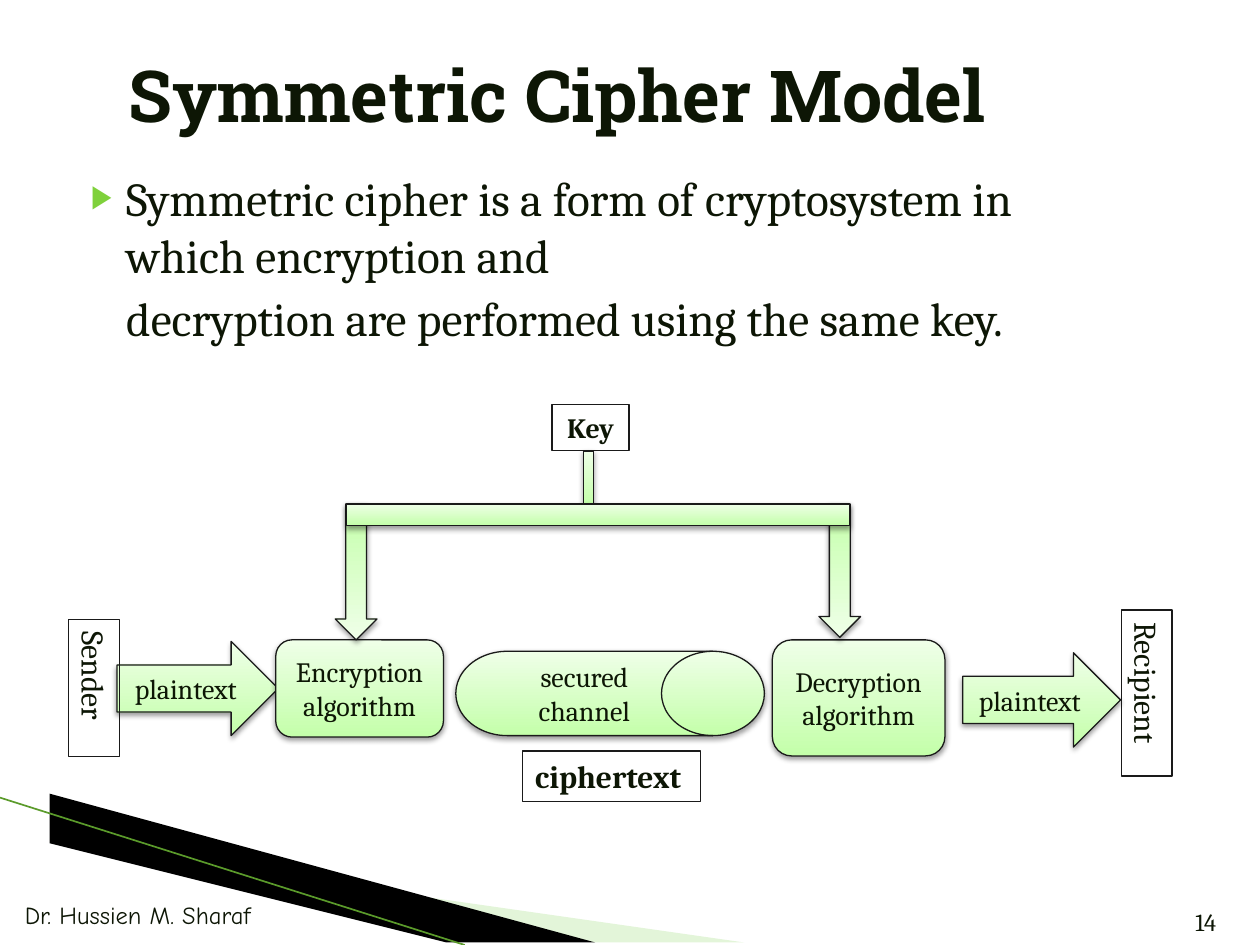
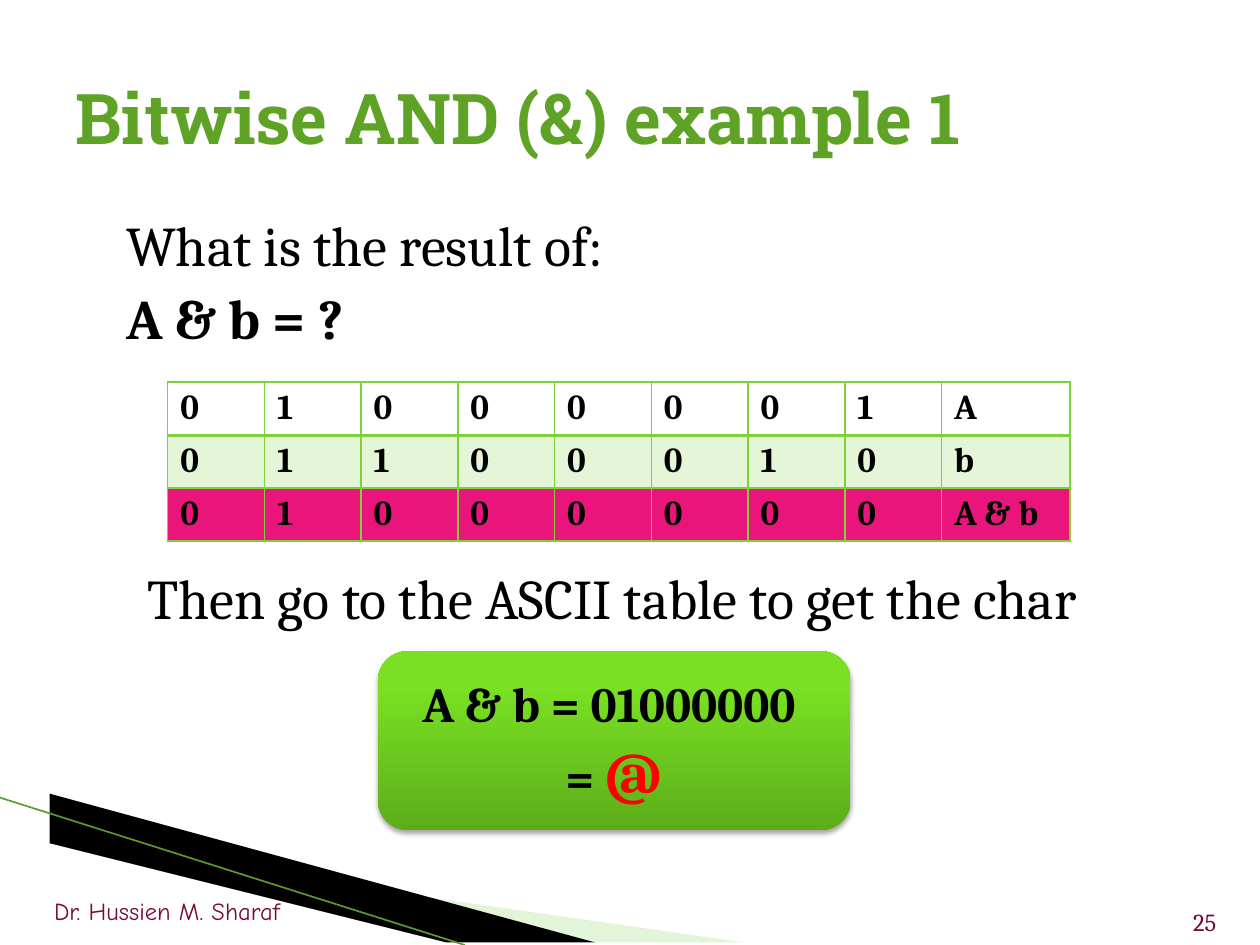
from lxml.etree import SubElement
from pptx import Presentation
from pptx.dml.color import RGBColor
from pptx.enum.shapes import MSO_CONNECTOR, MSO_SHAPE as Preset
from pptx.enum.text import MSO_ANCHOR as Anchor, MSO_AUTO_SIZE as AutoSize, PP_ALIGN as Align
from pptx.oxml.ns import qn
from pptx.util import Cm, Pt

INK = "0D1605"
BLACK = "000000"
GREEN = "7FD13B"
WINE = "750B3D"
PINK = "EA157A"
PALE_GREEN = ("C4FFAA", "EFFFE8")
BRIGHT_GREEN = ("5DAD1B", "79E023")
TEXT_MARGIN = 1.02


def paint(fill, *colors, last_stop=1.0):
    if len(colors) == 1:
        fill.solid()
        fill.fore_color.rgb = RGBColor.from_string(colors[0])
        return
    fill.gradient()
    fill.gradient_angle = 90
    for stop, color, position in zip(fill.gradient_stops, colors, (0, last_stop)):
        stop.color.rgb = RGBColor.from_string(color)
        stop.position = position


def write(frame, text, size=16, color=INK, font="Cambria", bold=False, align=Align.LEFT,
          before=0, margin=0, hanging=0, bullet=None, paragraph=None):
    frame.word_wrap = True
    frame.auto_size = AutoSize.NONE
    if paragraph is None:
        paragraph = frame.paragraphs[0]
        if paragraph.runs:
            paragraph = frame.add_paragraph()
        paragraph.alignment = align
        paragraph.space_before = Pt(before)
        properties = paragraph._p.get_or_add_pPr()
        properties.set("marL", str(Cm(margin)))
        properties.set("indent", str(Cm(-hanging)))
        if bullet:
            bullet_color = SubElement(properties, qn("a:buClr"))
            SubElement(bullet_color, qn("a:srgbClr"), val=GREEN)
            SubElement(properties, qn("a:buSzPct"), val="68000")
            SubElement(properties, qn("a:buFont"), typeface="Cambria")
            SubElement(properties, qn("a:buChar"), char=bullet)
        else:
            SubElement(properties, qn("a:buNone"))
    run = paragraph.add_run()
    run.text = text
    run.font.size = Pt(size)
    run.font.name = font
    run.font.bold = bold
    paint(run.font.fill, color)
    return paragraph


presentation = Presentation()
presentation.slide_width = Cm(25.4)
presentation.slide_height = Cm(19.05)

pages = [
    ("Symmetric Cipher Model", 41, INK, (2.34, 0.51, 20.75, 2.77), (1.27, 3.28, 20.75, 5.99),
     "14", INK, (0.25, 18.01)),
    ("Bitwise AND (&) example 1", 40, "5FA326", (1.27, 0.76, 22.86, 3.18), (1.27, 4.11, 22.86, 3.3),
     "25", WINE, (0.84, 17.93)),
]
bands = [
    ("E3F5D9", [(1.4, 16.54), (15.11, 19.05), (11.58, 19.05), (1.4, 16.51)]),
    (BLACK, [(1.35, 16.48), (11.61, 19.05), (9.45, 19.05), (1.37, 16.51)]),
]
slides = []
for title, size, color, title_box, body_box, number, footer_color, author_corner in pages:
    slide = presentation.slides.add_slide(presentation.slide_layouts[1])
    slides.append(slide)
    for band_color, points in bands:
        builder = slide.shapes.build_freeform(*points[0], scale=Cm(1))
        builder.add_line_segments(points[1:], close=True)
        band = builder.convert_to_shape()
        band.shadow.inherit = False
        band.line.fill.background()
        paint(band.fill, band_color)
    edge = slide.shapes.add_connector(MSO_CONNECTOR.STRAIGHT, Cm(0), Cm(16.08), Cm(9.37), Cm(19.05))
    edge.line.width = Pt(0.95)
    paint(edge.line.fill, "5B9B2B")
    SubElement(edge.element.spPr, qn("a:effectLst"))

    for placeholder, box in zip(slide.placeholders, (title_box, body_box)):
        placeholder.left, placeholder.top, placeholder.width, placeholder.height = map(Cm, box)
    title_frame = slide.shapes.title.text_frame
    title_frame.vertical_anchor = Anchor.MIDDLE
    write(title_frame, title, size=size, color=color, font="Roboto Slab", bold=True)

    author = slide.shapes.add_textbox(*map(Cm, (*author_corner, 6.99, 0.81)))
    write(author.text_frame, "Dr. Hussien M. Sharaf", size=14, color=footer_color, font="Comic Neue")
    page_number = slide.shapes.add_textbox(Cm(22.66), Cm(18.16), Cm(2.11), Cm(0.69))
    write(page_number.text_frame, number, size=14, color=footer_color, align=Align.RIGHT)

cipher_slide, bitwise_slide = slides
raised_shapes = []

body = cipher_slide.placeholders[1].text_frame
write(body, "Symmetric cipher is a form of cryptosystem in which encryption and",
      size=27, before=4, margin=TEXT_MARGIN, hanging=0.71, bullet="▶")
write(body, "decryption are performed using the same key.", size=27, before=4, margin=TEXT_MARGIN)

cipher_parts = [
    (Preset.RECTANGLE, "", (11.76, 9.09, 0.2, 1.07)),
    (Preset.RIGHT_ARROW, "plaintext", (2.36, 12.93, 3.25, 1.9)),
    (Preset.ROUNDED_RECTANGLE, "Encryption algorithm", (5.56, 12.9, 3.38, 1.96)),
    (Preset.ROUNDED_RECTANGLE, "Decryption algorithm", (15.57, 12.9, 3.48, 2.34)),
    (Preset.FLOWCHART_DIRECT_ACCESS_STORAGE, "secured channel", (9.19, 13.13, 6.22, 1.7)),
    (Preset.RIGHT_ARROW, "plaintext", (19.41, 13.16, 3.18, 1.9)),
    (Preset.UP_ARROW, "", (6.76, 10.16, 0.84, 2.74)),
    (Preset.UP_ARROW, "", (16.51, 10.16, 0.84, 2.69)),
    (Preset.RECTANGLE, "", (6.99, 10.16, 10.13, 0.43)),
]
for preset, text, box in cipher_parts:
    part = cipher_slide.shapes.add_shape(preset, *map(Cm, box))
    paint(part.fill, *PALE_GREEN)
    paint(part.line.fill, "1A1A1A")
    part.line.width = Pt(0.75)
    if preset == Preset.UP_ARROW:
        part.element.spPr.get_or_add_xfrm().set("flipV", "1")
    if text:
        write(part.text_frame, text, align=Align.CENTER)
    raised_shapes.append((part, 38))

labels = [
    ("ciphertext", (10.54, 15.14, 3.58, 1.02), 18, True, Align.LEFT, 0),
    ("Sender", (0.51, 13.36, 2.77, 1.02), 18, False, Align.LEFT, 90),
    ("Recipient", (21.44, 13.46, 3.35, 1.02), 18, False, Align.LEFT, 90),
    ("Key", (11.13, 8.15, 1.55, 0.94), 16, True, Align.CENTER, 0),
]
for text, box, size, bold, align, rotation in labels:
    label = cipher_slide.shapes.add_shape(Preset.RECTANGLE, *map(Cm, box))
    label.shadow.inherit = False
    label.fill.background()
    paint(label.line.fill, "1A1A1A")
    label.line.width = Pt(0.75)
    label.rotation = rotation
    label.text_frame.vertical_anchor = Anchor.TOP
    write(label.text_frame, text, size=size, bold=bold, align=align)

question = bitwise_slide.placeholders[1].text_frame
prompt_format = dict(size=32, color=BLACK, before=3.2, margin=TEXT_MARGIN)
write(question, "What is the result of:", **prompt_format)
write(question, "A & b = ?", bold=True, **prompt_format)

bit_rows = [("01000001", "A", None), ("01100010", "b", "E5F6D8"), ("01000000", "A & b", PINK)]
table = bitwise_slide.shapes.add_table(3, 9, Cm(3.38), Cm(7.7), Cm(18.19), Cm(3.21)).table
table.first_row = False
table.horz_banding = False
for index, column in enumerate(table.columns):
    column.width = Cm(1.95 if index < 8 else 2.59)
for row_index, (bits, name, row_color) in enumerate(bit_rows):
    table.rows[row_index].height = Cm(1.07)
    for column_index, text in enumerate([*bits, name]):
        cell = table.cell(row_index, column_index)
        write(cell.text_frame, text, size=20, color=BLACK, bold=True)
        properties = cell._tc.get_or_add_tcPr()
        for side in "LRTB":
            thick = (row_index, side) in ((0, "B"), (1, "T"))
            border = SubElement(properties, qn(f"a:ln{side}"), w=str(Pt(2 if thick else 1)))
            border_fill = SubElement(border, qn("a:solidFill"))
            SubElement(border_fill, qn("a:srgbClr"), val=GREEN)
        if row_color:
            paint(cell.fill, row_color)
        else:
            cell.fill.background()

result = bitwise_slide.shapes.add_shape(Preset.ROUNDED_RECTANGLE, Cm(7.62), Cm(13.13), Cm(9.53), Cm(3.61))
paint(result.fill, *BRIGHT_GREEN, last_stop=0.8)
result.line.fill.background()
result_format = dict(size=28, color=BLACK, bold=True, align=Align.CENTER)
write(result.text_frame, "A & b = 01000000 ", **result_format)
answer = write(result.text_frame, "= ", **result_format)
write(result.text_frame, "@", size=36, color="FF0000", bold=True, paragraph=answer)
raised_shapes.append((result, 35))

lookup = bitwise_slide.shapes.add_textbox(Cm(1.7), Cm(11.23), Cm(23.5), Cm(1.8))
write(lookup.text_frame, "Then go to the ASCII table to get the char", **prompt_format)

for shape, opacity in raised_shapes:
    shape.shadow.inherit = False
    effects = shape.element.spPr.find(qn("a:effectLst"))
    shadow = SubElement(effects, qn("a:outerShdw"), blurRad=str(Pt(3.1)), dist=str(Pt(1.6)),
                        dir="5400000", rotWithShape="0")
    shadow_color = SubElement(shadow, qn("a:srgbClr"), val=BLACK)
    SubElement(shadow_color, qn("a:alpha"), val=str(opacity * 1000))

presentation.save("out.pptx")
